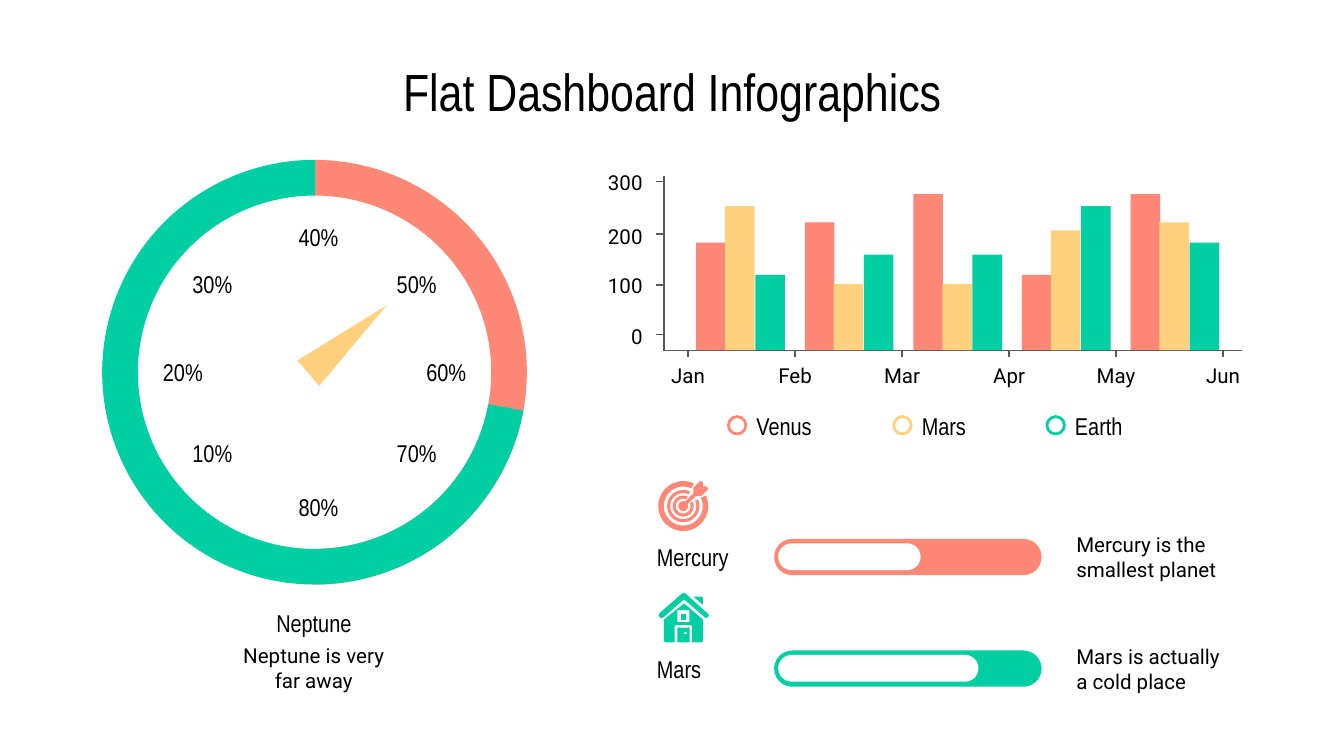
import math

import pptx
import pptx.dml.color
import pptx.enum.shapes
import pptx.enum.text
import pptx.oxml
import pptx.oxml.ns
import pptx.util

CORAL, SAND, GREEN = "FF8775", "FFD07E", "00CFA4"
WHITE, BLACK, GREY = "FFFFFF", "000000", "595959"
SERIES_COLORS = (CORAL, SAND, GREEN)
SHAPES = pptx.enum.shapes.MSO_SHAPE
ALIGN = pptx.enum.text.PP_ALIGN
ANCHOR = pptx.enum.text.MSO_ANCHOR
LABEL = {"name": "Arial Narrow", "size": pptx.util.Pt(13)}
BODY = {"name": "Roboto", "size": pptx.util.Pt(11)}
TITLE = {"name": "Arial Narrow", "size": pptx.util.Pt(28)}


def color(value):
    return pptx.dml.color.RGBColor.from_string(value)


def grid(value):
    """Convert grid columns or rows (a tenth of an inch each) to a length."""
    return pptx.util.Inches(value / 10)


def arc(center, radius, start, end, steps=40):
    """Points along a circle, angles in degrees clockwise from the right."""
    angles = [math.radians(start + (end - start) * step / steps) for step in range(steps + 1)]
    return [(center[0] + radius * math.cos(a), center[1] + radius * math.sin(a)) for a in angles]


def rectangle(left, top, right, bottom):
    return [(left, top), (right, top), (right, bottom), (left, bottom)]


class Dashboard:
    """Draws styled elements on the current slide, in grid units."""

    def __init__(self, slide):
        self.shapes = slide.shapes

    def text(self, words, box, style, align=ALIGN.LEFT, anchor=ANCHOR.MIDDLE):
        frame = self.shapes.add_textbox(*map(grid, box)).text_frame
        settings = {"word_wrap": True, "vertical_anchor": anchor}
        settings.update({f"margin_{side}": grid(1) for side in ("left", "top", "right", "bottom")})
        for name, value in settings.items():
            setattr(frame, name, value)
        paragraph = frame.paragraphs[0]
        paragraph.alignment = align
        run = paragraph.add_run()
        run.text = words
        for name, value in style.items():
            setattr(run.font, name, value)
        run.font.color.rgb = color(BLACK)

    def paint(self, shape, fill, outline=None):
        shape.shadow.inherit = False
        shape.fill.solid()
        shape.fill.fore_color.rgb = color(fill)
        if outline:
            shape.line.color.rgb = color(outline)
            shape.line.width = pptx.util.Pt(1.5)
        else:
            shape.line.fill.background()

    def shape(self, kind, box, fill, outline=None, adjustments=(), rotation=0):
        shape = self.shapes.add_shape(kind, *map(grid, box))
        for index, value in enumerate(adjustments):
            shape.adjustments[index] = value
        shape.rotation = rotation
        self.paint(shape, fill, outline)

    def line(self, *ends):
        connector = self.shapes.add_connector(
            pptx.enum.shapes.MSO_CONNECTOR.STRAIGHT, *map(grid, ends))
        connector.line.color.rgb = color(GREY)
        connector.line.width = pptx.util.Pt(0.75)
        properties = connector._element.spPr
        properties.append(pptx.oxml.parse_xml(
            f"<a:effectLst {pptx.oxml.ns.nsdecls('a')}/>"))

    def outline(self, fill, *contours):
        """A filled outline; contours after the first cut holes."""
        contours = [[(grid(x), grid(y)) for x, y in points] for points in contours]
        builder = self.shapes.build_freeform(*contours[0][0])
        builder.add_line_segments(contours[0][1:])
        for points in contours[1:]:
            builder.move_to(*points[0])
            builder.add_line_segments(points[1:])
        self.paint(builder.convert_to_shape(), fill)


def draw_gauge(board):
    for adjustments, fill in (((108, 215.74, 0.084), CORAL), ((168.25, 108.11, 0.084), GREEN)):
        board.shape(SHAPES.BLOCK_ARC, (7.6, 11.9, 31.6, 31.6), fill,
                    adjustments=adjustments, rotation=90)
    board.shape(SHAPES.ISOSCELES_TRIANGLE, (24.6, 21.4, 2.5, 7.7), SAND, rotation=49.2)
    places = ((13.1, 32.1), (10.9, 26.1), (13.1, 19.5), (21, 16),
              (28.3, 19.5), (30.5, 26.1), (28.3, 32.1), (21, 36.1))
    for index, (left, top) in enumerate(places, 1):
        board.text(f"{index * 10}%", (left, top, 5.4, 3.2), LABEL, ALIGN.CENTER)
    board.text("Neptune is very far away", (16.7, 47.3, 13.3, 4.8), BODY, ALIGN.CENTER)
    board.text("Neptune", (16.7, 45, 13.3, 2.7), LABEL, ALIGN.CENTER)


def draw_bars(board):
    base = 26.05
    # Axes, ticks and labels
    board.line(49.3, 26.1, 92.4, 26.1)
    board.line(49.4, 26.1, 49.4, 13.1)
    for value, tick, top in ((300, 13.5, 11.9), (200, 17.4, 15.9),
                             (100, 21.2, 19.6), (0, 24.9, 23.4)):
        board.line(49.4, tick, 48.8, tick)
        board.text(str(value), (43.6, top, 5.2, 3.3), BODY, ALIGN.RIGHT)
    for index, month in enumerate(("Jan", "Feb", "Mar", "Apr", "May", "Jun")):
        tick = 51.2 + 7.96 * index
        board.line(tick, 26.1, tick, 26.6)
        board.text(month, (tick - 2.6, 26.3, 5.2, 3.3), BODY, ALIGN.CENTER)
    # Bars
    heights = ((8, 10.7, 5.6), (9.5, 4.9, 7.1), (11.6, 4.9, 7.1),
               (5.6, 8.9, 10.7), (11.6, 9.5, 8))
    for group, row in enumerate(heights):
        for offset, height, fill in zip((0, 2.15, 4.4), row, SERIES_COLORS):
            left = 51.8 + 8.08 * group + offset
            board.shape(SHAPES.RECTANGLE, (left, base - height, 2.2, height), fill)
    # Legend
    for name, left, outline in zip(("Venus", "Mars", "Earth"), (54.2, 66.5, 77.9), SERIES_COLORS):
        board.text(name, (left + 1.1, 30.1, 7.5, 3.2), LABEL)
        board.shape(SHAPES.OVAL, (left, 31, 1.3, 1.3), WHITE, outline)


def draw_target(board):
    center = (50.84, 37.66)
    for outer, inner in ((1.86, 1.45), (1.2, 0.97), (0.78, 0.55)):
        board.outline(CORAL, arc(center, outer, -25, 295) + arc(center, inner, 295, -25))
    dart = [(51.6, 36.7), (51.6, 36.3), (52.1, 35.8), (52.3, 35.9), (52.3, 36.2),
            (52.6, 36.2), (52.7, 36.4), (52.2, 36.9), (51.8, 36.9)]
    board.outline(CORAL, arc(center, 0.36, -25, 295) + dart)


def draw_house(board):
    chimney = [(51.6, 44.4), (52.2, 44.4), (52.3, 44.5), (52.3, 45)]
    roof = [(50.9, 44.1), (50.7, 44.2), (49.1, 45.6), (49, 45.8), (49.1, 45.95), (49.25, 46),
            (49.4, 45.9), (50.9, 44.6), (52.4, 45.9), (52.55, 46), (52.7, 45.9),
            (52.75, 45.75), (52.6, 45.6), (51.05, 44.2)]
    walls = [(50.9, 44.9), (49.4, 46.1), (49.4, 47.7), (49.5, 47.8), (50.2, 47.8),
             (50.2, 46.6), (50.3, 46.5), (51.4, 46.5), (51.5, 46.6), (51.5, 47.8),
             (52.2, 47.8), (52.3, 47.7), (52.3, 46.1)]
    board.outline(GREEN, chimney)
    board.outline(GREEN, rectangle(50.4, 46.7, 51.3, 47.8), arc((51, 47.1), 0.1, 0, 360, 12))
    board.outline(GREEN, rectangle(50.65, 45.7, 51.05, 46.1))
    board.outline(GREEN, roof)
    board.outline(GREEN, walls, rectangle(50.4, 45.4, 51.3, 46.3))


def draw_progress(board):
    rows = (("Mercury", "Mercury is the smallest planet", 40.1, 10.6, CORAL, draw_target),
            ("Mars", "Mars is actually a cold place", 48.4, 14.9, GREEN, draw_house))
    for name, note, top, width, fill, draw_icon in rows:
        board.text(note, (79.1, top - 1.05, 13.3, 4.8), BODY)
        board.text(name, (47.9, top, 13.3, 2.7), LABEL)
        for box, shade in (((57.6, top, 19.9, 2.7), fill),
                           ((57.9, top + 0.33, width, 2), WHITE)):
            board.shape(SHAPES.ROUNDED_RECTANGLE, box, shade, adjustments=(0.5,))
        draw_icon(board)


def main():
    presentation = pptx.Presentation()
    presentation.slide_width = grid(100)
    presentation.slide_height = grid(56.25)
    board = Dashboard(presentation.slides.add_slide(presentation.slide_layouts[6]))
    board.text("Flat Dashboard Infographics", (4.5, 3.4, 91, 6.3), TITLE, ALIGN.CENTER, ANCHOR.TOP)
    draw_gauge(board)
    draw_bars(board)
    draw_progress(board)
    presentation.save("out.pptx")


if __name__ == "__main__":
    main()
